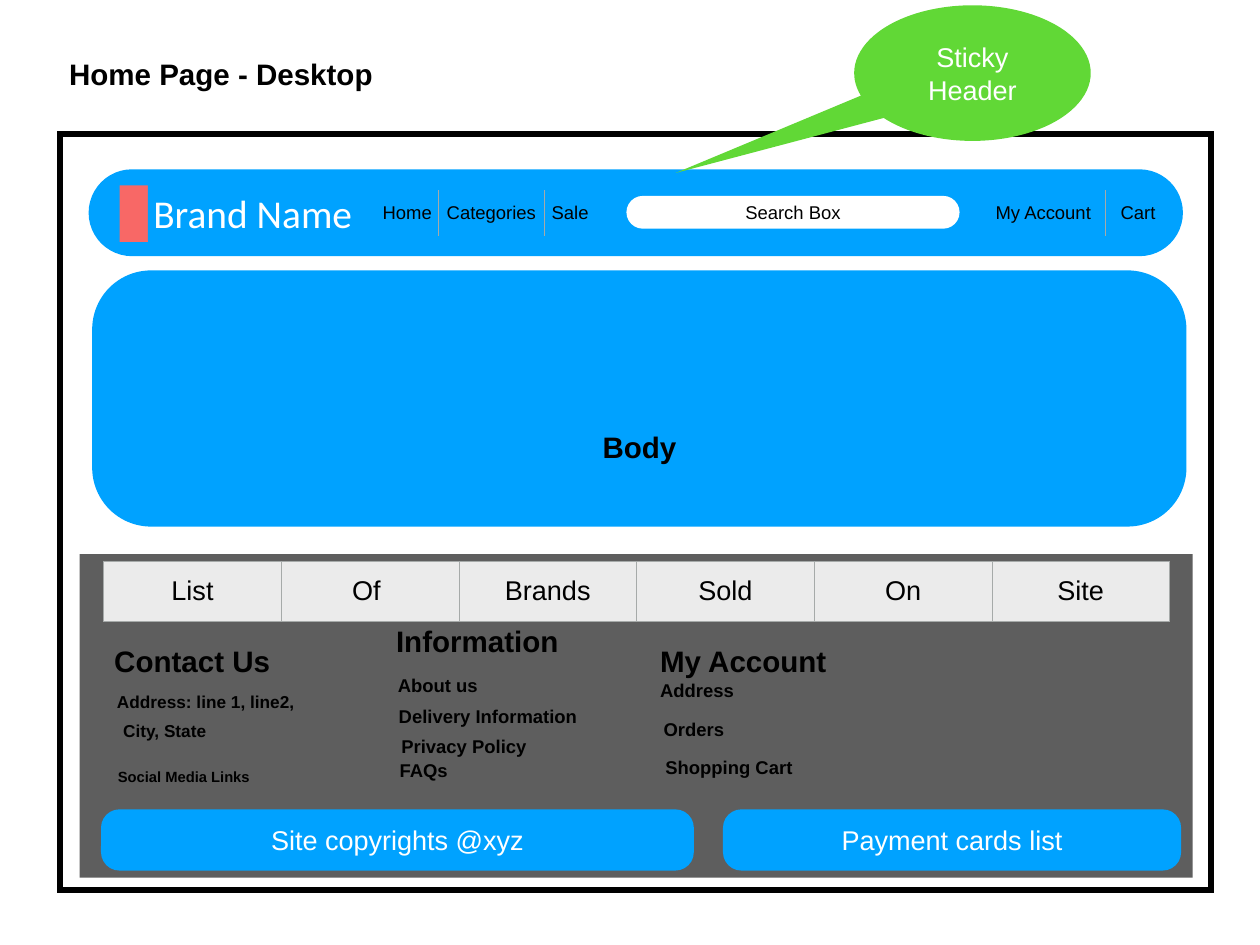
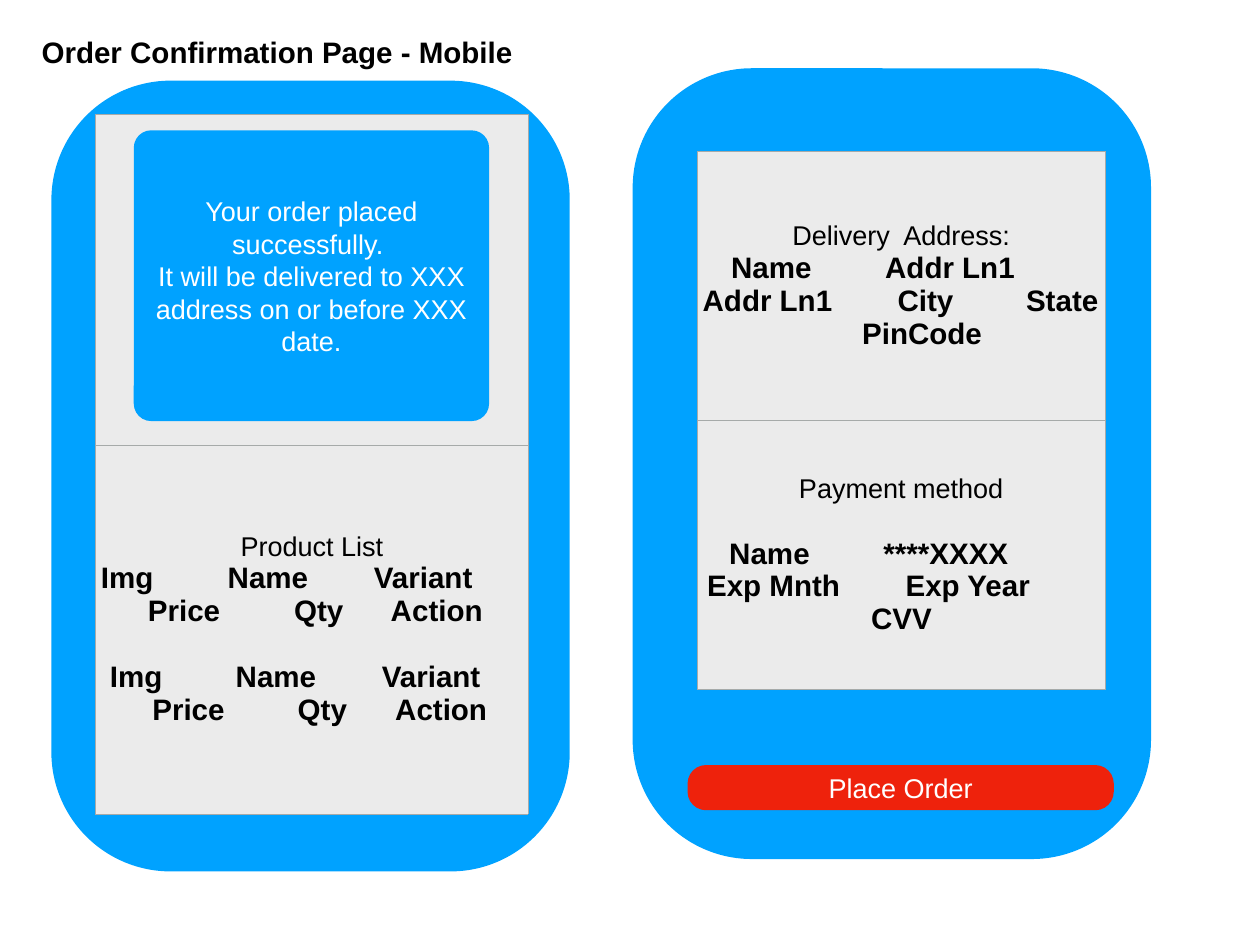
from pptx import Presentation
from pptx.dml.color import RGBColor
from pptx.enum.shapes import MSO_SHAPE
from pptx.enum.text import MSO_ANCHOR, PP_ALIGN
from pptx.oxml.ns import qn
from pptx.util import Inches, Pt
from lxml import etree

RECT = MSO_SHAPE.RECTANGLE
ROUND = MSO_SHAPE.ROUNDED_RECTANGLE
CALLOUT = MSO_SHAPE.OVAL_CALLOUT
LEFT, CENTER = PP_ALIGN.LEFT, PP_ALIGN.CENTER
MIDDLE = MSO_ANCHOR.MIDDLE

BLUE, GREEN, RED, CORAL = "00A2FF", "61D836", "EE220C", "F86866"
BLACK, WHITE, DARK, PALE, RULE = "000000", "FFFFFF", "5E5E5E", "EBEBEB", "A6AAA9"
FONT, BRAND_FONT = "Arial", "Calibri"
TITLE, LABEL, NAV = 24, 22, 15
PAD = 0.06
SLACK = 0.2
LINE_GAP = 27


def rgb(value):
    return RGBColor.from_string(value)


def add_run(p, text, size, color=BLACK, bold=False, font=FONT):
    r = p.add_run()
    r.text = text
    r.font.size = Pt(size)
    r.font.name = font
    r.font.bold = bold
    r.font.color.rgb = rgb(color)


def fill_text(tf, lines, size, color=BLACK, bold=False, align=CENTER, font=FONT):
    tf.word_wrap = True
    tf.vertical_anchor = MIDDLE
    tf.margin_left = tf.margin_right = Inches(PAD)
    tf.margin_top = tf.margin_bottom = Inches(PAD)
    for i, line in enumerate(lines):
        p = tf.add_paragraph() if i else tf.paragraphs[0]
        p.alignment = align
        add_run(p, line, size, color, bold, font)


def box(s, kind, x, y, w, h, fill, adj=(), line=None):
    sp = s.shapes.add_shape(kind, Inches(x), Inches(y), Inches(w), Inches(h))
    sp.shadow.inherit = False
    sp.fill.solid()
    sp.fill.fore_color.rgb = rgb(fill)
    for i, value in enumerate(adj):
        sp.adjustments[i] = value
    if line:
        sp.line.color.rgb = rgb(BLACK)
        sp.line.width = Pt(line)
        etree.SubElement(sp.line._get_or_add_ln(), qn("a:miter"), lim="800000")
    else:
        sp.line.fill.background()
    return sp


def label(s, x, y, w, h, text, size=TITLE):
    tb = s.shapes.add_textbox(Inches(x), Inches(y), Inches(w + SLACK), Inches(h))
    fill_text(tb.text_frame, [text], size, bold=True, align=LEFT)


def cell_borders(cell, colors):
    tc_pr = cell._tc.get_or_add_tcPr()
    for i, (side, color) in enumerate(zip(("lnL", "lnR", "lnT", "lnB"), colors)):
        ln = etree.Element(qn("a:" + side), w=str(Pt(0.45)))
        solid = etree.SubElement(ln, qn("a:solidFill"))
        etree.SubElement(solid, qn("a:srgbClr"), val=color)
        tc_pr.insert(i, ln)


def grid(s, x, y, widths, heights, fill):
    shape = s.shapes.add_table(len(heights), len(widths), Inches(x), Inches(y),
                               Inches(sum(widths)), Inches(sum(heights)))
    table = shape.table
    table.first_row = table.horz_banding = False
    for column, w in zip(table.columns, widths):
        column.width = Inches(w)
    for row, h in zip(table.rows, heights):
        row.height = Inches(h)
    for cell in table.iter_cells():
        cell.fill.solid()
        cell.fill.fore_color.rgb = rgb(fill)
        cell.vertical_anchor = MIDDLE
        cell.margin_left = cell.margin_right = Inches(PAD)
        cell.margin_top = cell.margin_bottom = Inches(0.05)
    return table


def cell_text(cell, text, size):
    p = cell.text_frame.paragraphs[0]
    p.alignment = CENTER
    add_run(p, text, size)


def tabbed_line(tf, fields, space=0):
    p = tf.add_paragraph()
    p.alignment = LEFT
    if space:
        p.space_before = Pt(space)
    tabs = etree.SubElement(p._p.get_or_add_pPr(), qn("a:tabLst"))
    for pos, text in fields:
        if pos:
            etree.SubElement(tabs, qn("a:tab"), pos=str(Inches(pos)), algn="l")
        add_run(p, "\t" + text if pos else text, TITLE, bold=True)


def header(s, x, y):
    box(s, ROUND, x, y, 12.35, 0.98, BLUE, [0.5])
    box(s, RECT, x + 0.35, y + 0.18, 0.32, 0.64, CORAL)
    brand = box(s, RECT, x + 0.67, y + 0.17, 2.75, 0.64, BLUE)
    fill_text(brand.text_frame, ["Brand Name"], 32, WHITE, align=LEFT, font=BRAND_FONT)
    names = ["Home", "Categories", "Sale", "", "My Account", "Cart"]
    ruled = {0, 1, 4}
    table = grid(s, x + 3.24, y + 0.24, [0.71, 1.19, 0.59, 4.34, 1.41, 0.73], [0.51], BLUE)
    for i, name in enumerate(names):
        cell = table.cell(0, i)
        if name:
            cell_text(cell, name, NAV)
        cell_borders(cell, (RULE if i - 1 in ruled else BLUE,
                            RULE if i in ruled else BLUE, BLUE, BLUE))
    search = box(s, ROUND, x + 6.07, y + 0.3, 3.76, 0.37, WHITE, [0.5])
    fill_text(search.text_frame, ["Search Box"], NAV)


def body(s, x, y):
    box(s, ROUND, x, y, 12.35, 2.89, BLUE, [0.23])
    label(s, x + 5.7, y + 1.73, 0.95, 0.51, "Body")


FOOTER_LABELS = [
    (0.33, 0.95, 1.87, "Contact Us", TITLE),
    (0.36, 1.5, 2.12, "Address: line 1, line2,", 14),
    (0.43, 1.82, 1.05, "City, State", 14),
    (0.37, 2.36, 1.6, "Social Media Links", 12),
    (3.51, 0.72, 1.95, "Information", TITLE),
    (3.53, 1.3, 1.01, "About us", NAV),
    (3.54, 1.65, 2.13, "Delivery Information", NAV),
    (3.57, 1.99, 1.52, "Privacy Policy", NAV),
    (3.55, 2.26, 0.67, "FAQs", NAV),
    (6.49, 0.95, 2, "My Account", TITLE),
    (6.49, 1.35, 0.95, "Address", NAV),
    (6.53, 1.79, 0.79, "Orders", NAV),
    (6.55, 2.22, 1.55, "Shopping Cart", NAV),
]
LABEL_HEIGHTS = {TITLE: 0.51, NAV: 0.36, 14: 0.34, 12: 0.31}


def footer(s, x, y):
    box(s, RECT, x, y, 12.56, 3.65, DARK)
    names = ["List", "Of ", "Brands", "Sold", "On", "Site"]
    table = grid(s, x + 0.27, y + 0.08, [12.03 / len(names)] * len(names), [0.68], PALE)
    for cell, name in zip(table.iter_cells(), names):
        cell_text(cell, name, LABEL)
        cell_borders(cell, [RULE] * 4)
    box(s, RECT, x + 0.27, y + 0.95, 2.36, 1.91, DARK)
    for dx, dy, w, text, size in FOOTER_LABELS:
        label(s, x + dx, y + dy, w, LABEL_HEIGHTS[size], text, size)
    for dx, w, text in [(0.24, 6.69, "Site copyrights @xyz"),
                        (7.26, 5.17, "Payment cards list")]:
        bar = box(s, ROUND, x + dx, y + 2.88, w, 0.69, BLUE, [0.3])
        fill_text(bar.text_frame, [text], LABEL, WHITE)


def home_page(s):
    label(s, 0.72, 0.58, 3.54, 0.51, "Home Page - Desktop")
    box(s, RECT, 0.68, 1.51, 12.99, 8.53, WHITE, line=5)
    header(s, 1, 1.91)
    footer(s, 0.9, 6.25)
    body(s, 1.04, 3.05)
    note = box(s, CALLOUT, 9.64, 0.06, 2.67, 1.53, GREEN, [-1.255, 0.737])
    fill_text(note.text_frame, ["Sticky Header"], LABEL, WHITE)


def phone(s, x, y, panel, width, heights, sections):
    box(s, ROUND, x, y, 5.85, 8.92, BLUE, [0.23])
    table = grid(s, x + panel[0], y + panel[1], [width], heights, PALE)
    for cell, (heading, lines) in zip(table.iter_cells(), sections):
        cell_borders(cell, [RULE] * 4)
        if heading:
            cell_text(cell, heading, LABEL)
        for fields, space in lines:
            tabbed_line(cell.text_frame, fields, space)


PRODUCTS = [
    ([(0, "Img"), (1.43, "Name"), (3.08, "Variant")], 0),
    ([(0.53, "Price"), (2.18, "Qty"), (3.27, "Action")], 0),
    ([(0.1, "Img"), (1.52, "Name"), (3.17, "Variant")], LINE_GAP),
    ([(0.58, "Price"), (2.22, "Qty"), (3.32, "Action")], 0),
]
ADDRESS = [
    ([(0.32, "Name"), (2.06, "Addr Ln1")], 0),
    ([(0, "Addr Ln1"), (2.2, "City"), (3.65, "State")], 0),
    ([(1.8, "PinCode")], 0),
]
PAYMENT = [
    ([(0.3, "Name"), (2.04, "****XXXX")], LINE_GAP),
    ([(0.05, "Exp Mnth"), (2.29, "Exp Year")], 0),
    ([(1.9, "CVV")], 0),
]


def order_panel(s, x, y):
    phone(s, x, y, (0.5, 0.38), 4.88, [3.73, 4.16],
          [("", []), ("Product List", PRODUCTS)])
    message = box(s, ROUND, x + 0.93, y + 0.56, 4.01, 3.28, BLUE, [0.06])
    fill_text(message.text_frame,
              ["Your order placed successfully. ",
               "It will be delivered to XXX address on or before XXX date."], LABEL, WHITE)


def checkout_panel(s, x, y):
    phone(s, x, y, (0.73, 0.94), 4.6, [3.03, 3.04],
          [("Delivery  Address:", ADDRESS), ("Payment method", PAYMENT)])
    button = box(s, ROUND, x + 0.62, y + 7.86, 4.81, 0.51, RED, [0.41])
    fill_text(button.text_frame, ["Place Order"], LABEL, WHITE)


def confirmation_page(s):
    label(s, 0.41, 0.33, 5.43, 0.51, "Order Confirmation Page - Mobile")
    order_panel(s, 0.58, 0.91)
    checkout_panel(s, 7.14, 0.77)


def main():
    prs = Presentation()
    prs.slide_width, prs.slide_height = Inches(14.22), Inches(10.66)
    for page in (home_page, confirmation_page):
        page(prs.slides.add_slide(prs.slide_layouts[6]))
    prs.save("out.pptx")


if __name__ == "__main__":
    main()
